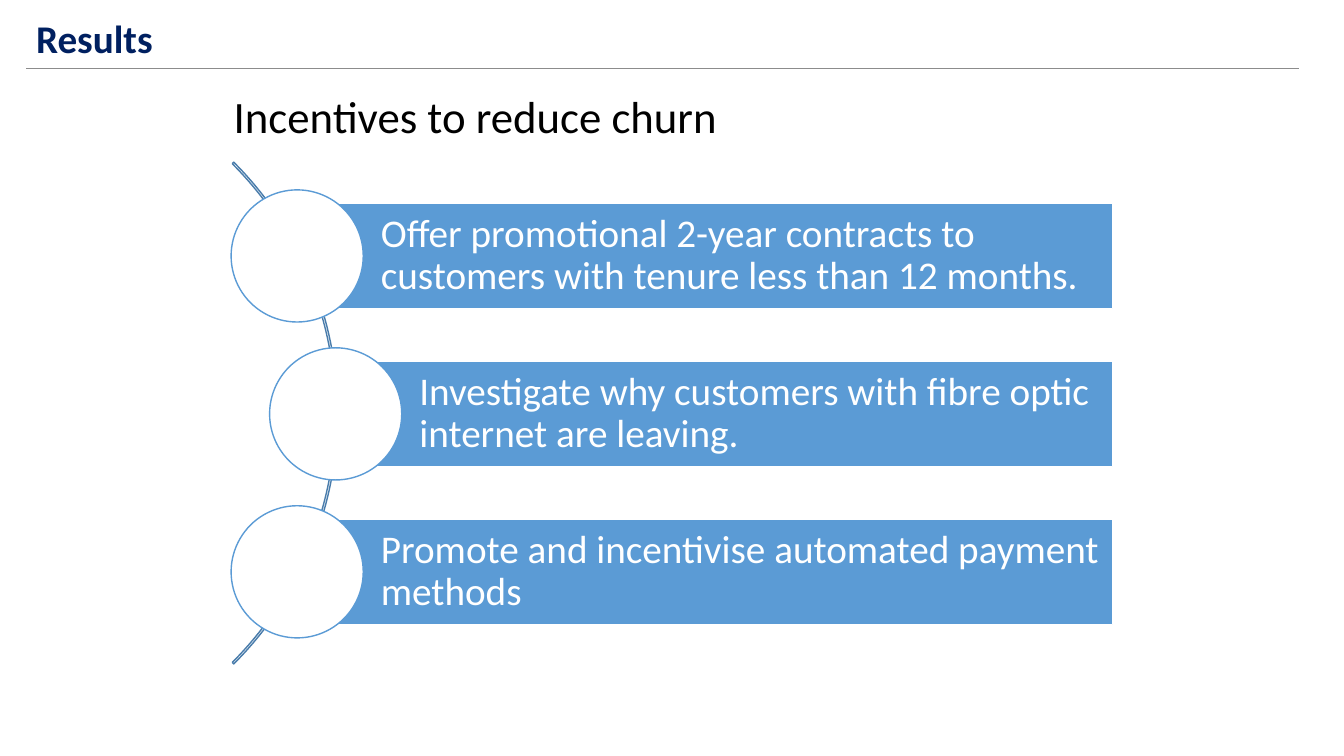
from lxml import etree
from pptx import Presentation
from pptx.dml.color import RGBColor
from pptx.enum.shapes import MSO_CONNECTOR, MSO_SHAPE
from pptx.enum.text import MSO_ANCHOR, PP_ALIGN
from pptx.oxml.ns import qn
from pptx.util import Cm, Pt

STRAIGHT = MSO_CONNECTOR.STRAIGHT
RECT, OVAL, ARC = MSO_SHAPE.RECTANGLE, MSO_SHAPE.OVAL, MSO_SHAPE.BLOCK_ARC
MIDDLE, LEFT = MSO_ANCHOR.MIDDLE, PP_ALIGN.LEFT

NAVY = RGBColor(0x00, 0x20, 0x60)
BLUE = RGBColor(0x5B, 0x9B, 0xD5)
ARC_BLUE = RGBColor(0x49, 0x7C, 0xAB)
GREY = RGBColor(0x8C, 0x8C, 0x8C)
WHITE = RGBColor(0xFF, 0xFF, 0xFF)
BLACK = RGBColor(0x00, 0x00, 0x00)
FONT = "Calibri"

INCENTIVES = [
    "Offer promotional 2-year contracts to customers with tenure less than 12 months.",
    "Investigate why customers with fibre optic internet are leaving.",
    "Promote and incentivise automated payment methods",
]
BAR_LEFTS = [7.49, 8.46, 7.49]  # the middle bar follows the bulge of the arc
BAR_RIGHT, BAR_TOP, BAR_HEIGHT, BAR_PITCH = 28.04, 5.12, 2.66, 3.98
CIRCLE = 3.33


def write(tf, text, size, color, bold=False, spacing=1.0):
    tf.word_wrap = True
    p = tf.paragraphs[0]
    p.text = text
    p.alignment = LEFT
    p.line_spacing = spacing
    p.font.name, p.font.size, p.font.bold = FONT, Pt(size), bold
    p.font.color.rgb = color


def add_text(s, left, top, width, height, text, size, color, **style):
    box = s.shapes.add_textbox(Cm(left), Cm(top), Cm(width), Cm(height))
    write(box.text_frame, text, size, color, **style)


def add_shape(s, kind, left, top, width, height, fill, line):
    sp = s.shapes.add_shape(kind, Cm(left), Cm(top), Cm(width), Cm(height))
    sp.shadow.inherit = False
    if fill is None:
        sp.fill.background()
    else:
        sp.fill.solid()
        sp.fill.fore_color.rgb = fill
    sp.line.color.rgb = line
    sp.line.width = Pt(1)
    return sp


def add_rule(s, left, right, y):
    line = s.shapes.add_connector(STRAIGHT, Cm(left), Cm(y), Cm(right), Cm(y))
    line.line.color.rgb = GREY
    line.line.width = Pt(0.5)
    etree.SubElement(line._element.spPr, qn("a:effectLst"))


def add_arc(s):
    sp = add_shape(s, ARC, -9.37, 1.47, 17.88, 17.88, None, ARC_BLUE)
    # Start and end angles (315° and 45°), then thickness
    for i, value in enumerate((189, 27, 0.003)):
        sp.adjustments[i] = value


def add_incentive(s, left, top, text):
    bar = add_shape(s, RECT, left, top, BAR_RIGHT - left, BAR_HEIGHT, BLUE, WHITE)
    tf = bar.text_frame
    tf.vertical_anchor = MIDDLE
    tf.margin_left = Cm(2.11)
    tf.margin_top = tf.margin_right = tf.margin_bottom = Cm(0.2)
    write(tf, text, 28, WHITE, spacing=0.9)
    # Circle centred on the left edge of the bar
    add_shape(s, OVAL, left - CIRCLE / 2, top + (BAR_HEIGHT - CIRCLE) / 2,
              CIRCLE, CIRCLE, WHITE, BLUE)


def main():
    prs = Presentation()
    prs.slide_width, prs.slide_height = Cm(33.87), Cm(19.05)
    s = prs.slides.add_slide(prs.slide_layouts[6])

    # Title and rule
    add_rule(s, 0.66, 32.74, 1.71)
    add_text(s, 0.66, 0.38, 28.78, 1.35, "Results", 28, NAVY, bold=True, spacing=0.9)

    # Incentives along the arc
    add_arc(s)
    for i, (left, text) in enumerate(zip(BAR_LEFTS, INCENTIVES)):
        add_incentive(s, left, BAR_TOP + i * BAR_PITCH, text)

    # Subtitle
    add_text(s, 5.64, 2.11, 22.58, 1.63, "Incentives to reduce churn", 32, BLACK)

    prs.save("out.pptx")


if __name__ == "__main__":
    main()
